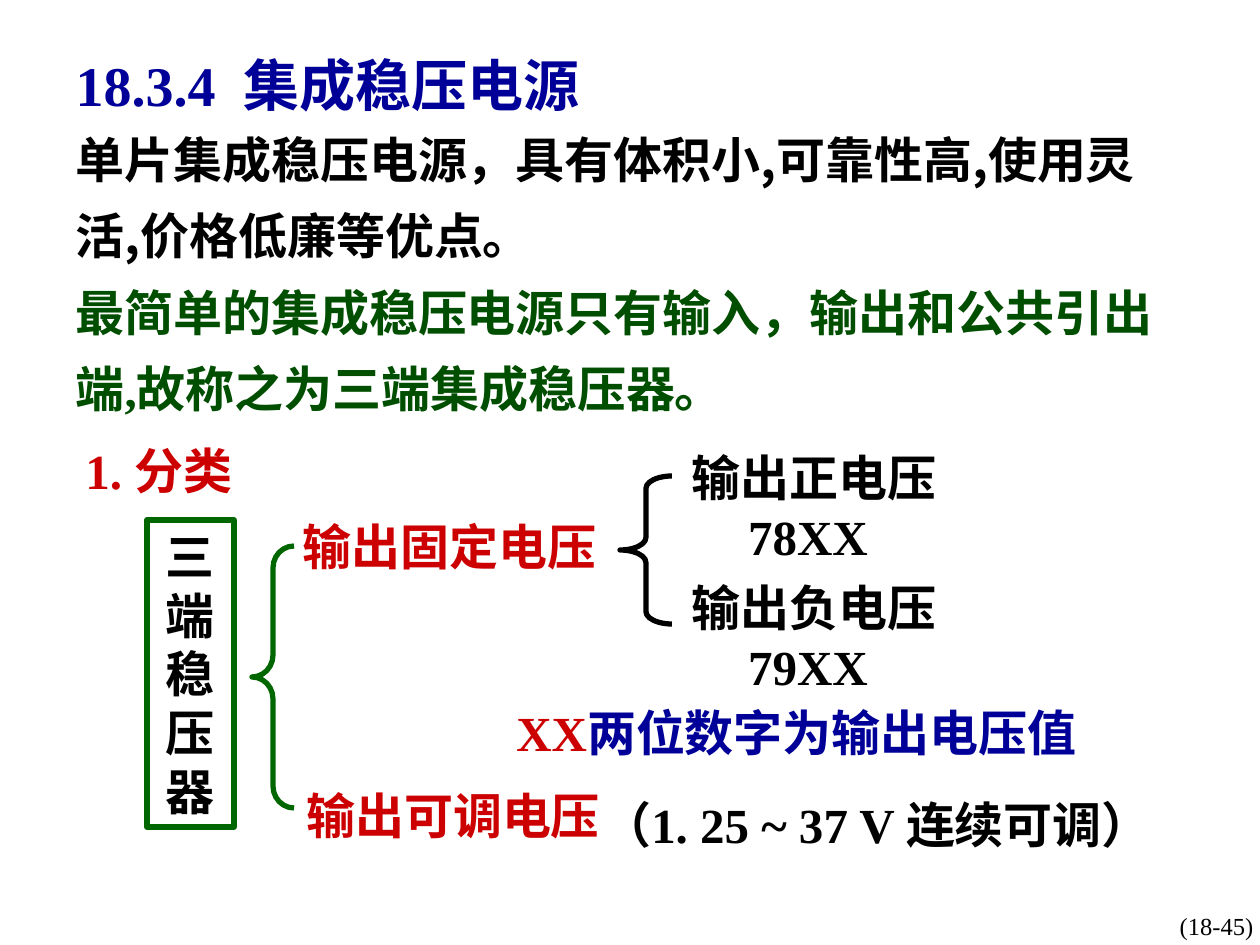
from pptx import Presentation
from pptx.dml.color import RGBColor
from pptx.enum.shapes import MSO_SHAPE
from pptx.enum.text import MSO_ANCHOR, MSO_AUTO_SIZE, PP_ALIGN
from pptx.oxml.ns import qn
from pptx.util import Emu, Pt
from lxml import etree

PX = 914400 / 126
LEFT, CENTER = PP_ALIGN.LEFT, PP_ALIGN.CENTER
TOP, MIDDLE = MSO_ANCHOR.TOP, MSO_ANCHOR.MIDDLE
SERIF, SANS = "Times New Roman", "Noto Sans CJK SC"
BLACK, BLUE, RED = "000000", "000099", "CC0000"
GREEN, DARK_GREEN = "006600", "004E00"


def px(*lengths):
    return [Emu(round(length * PX)) for length in lengths]


def color(value):
    return RGBColor.from_string(value)


def style(font, properties, name, tint, size, bold):
    font.name, font.size, font.bold = name, Pt(size), bold
    font.color.rgb = color(tint)
    latin = properties.find(qn("a:latin"))
    east_asian = etree.Element(qn("a:ea"), typeface=SANS)
    latin.addnext(east_asian)


def write(frame, lines, size=28, bold=True, align=LEFT, anchor=TOP,
          wrap=True, spacing=None):
    frame.word_wrap = wrap
    frame.auto_size = MSO_AUTO_SIZE.NONE
    frame.vertical_anchor = anchor
    for index, parts in enumerate(lines):
        paragraph = frame.paragraphs[0] if index == 0 else frame.add_paragraph()
        paragraph.alignment = align
        paragraph.space_before = Pt(0)
        if spacing:
            paragraph.line_spacing = spacing
        properties = paragraph._p.get_or_add_pPr()
        properties.set("marL", "0")
        properties.set("indent", "0")
        etree.SubElement(properties, qn("a:buNone"))
        for text, name, tint in parts:
            run = paragraph.add_run()
            run.text = text
            if len(parts) > 1:
                style(run.font, run._r.get_or_add_rPr(), name, tint, size, bold)
        if len(parts) == 1:
            style(paragraph.font, properties.get_or_add_defRPr(),
                  name, tint, size, bold)


def fill_placeholder(placeholder, box, lines, **options):
    (placeholder.left, placeholder.top,
     placeholder.width, placeholder.height) = px(*box)
    write(placeholder.text_frame, lines, anchor=MIDDLE, **options)


def add_label(slide, box, lines, **options):
    label = slide.shapes.add_textbox(*px(*box))
    write(label.text_frame, lines, **options)


def add_outline(slide, preset, box, tint):
    outline = slide.shapes.add_shape(preset, *px(*box))
    outline.shadow.inherit = False
    outline.fill.background()
    outline.line.color.rgb = color(tint)
    outline.line.width = Pt(3)
    return outline


def add_brace(slide, box, tint, curve):
    brace = add_outline(slide, MSO_SHAPE.LEFT_BRACE, box, tint)
    brace.adjustments[0] = curve


def main():
    deck = Presentation()
    deck.slide_width, deck.slide_height = px(1260, 945)
    slide = deck.slides.add_slide(deck.slide_layouts[1])
    title, body = slide.placeholders

    fill_placeholder(title, (63, 53, 588, 63), [
        [("18.3.4  ", SERIF, BLUE), ("集成稳压电源", SANS, BLUE)]], size=32)
    fill_placeholder(body, (63, 105, 1116, 319), [
        [("单片集成稳压电源，具有体积小,可靠性高,使用灵活,价格低廉等优点。", SANS, BLACK)],
        [("最简单的集成稳压电源只有输入，输出和公共引出端,故称之为三端集成稳压器。",
          SERIF, DARK_GREEN)]], spacing=1.3)
    add_label(slide, (73, 433, 231, 73), [
        [("1. ", SERIF, RED), ("分类", SANS, RED)]], anchor=MIDDLE)

    regulator = add_outline(slide, MSO_SHAPE.RECTANGLE, (147, 520, 87, 307), GREEN)
    write(regulator.text_frame, [[("三端稳压器", SERIF, BLACK)]], align=CENTER)
    add_brace(slide, (252, 546, 42, 262), GREEN, 0.52)
    add_label(slide, (290, 510, 319, 72), [[("输出固定电压", SERIF, RED)]],
              align=CENTER, wrap=False)
    add_label(slide, (294, 779, 325, 72), [[("输出可调电压", SERIF, RED)]])

    add_brace(slide, (620, 476, 52, 148), BLACK, 0.24)
    series = [("输出正电压", "78XX "), ("输出负电压", "79XX ")]
    for row, names in enumerate(series):
        add_label(slide, (679, 441 + 130 * row, 270, 131),
                  [[(name, SERIF, BLACK)] for name in names],
                  align=CENTER, wrap=False)

    add_label(slide, (504, 696, 672, 72), [
        [("XX", SERIF, RED), ("两位数字为输出电压值", SANS, BLUE)]])
    add_label(slide, (577, 788, 599, 72),
              [[("（1. 25 ~ 37 V 连续可调）", SERIF, BLACK)]],
              align=CENTER, wrap=False)
    add_label(slide, (1095, 905, 243, 42), [[("(18-45)", SERIF, BLACK)]],
              size=14, bold=False, align=CENTER, anchor=MIDDLE)

    deck.save("out.pptx")


if __name__ == "__main__":
    main()
